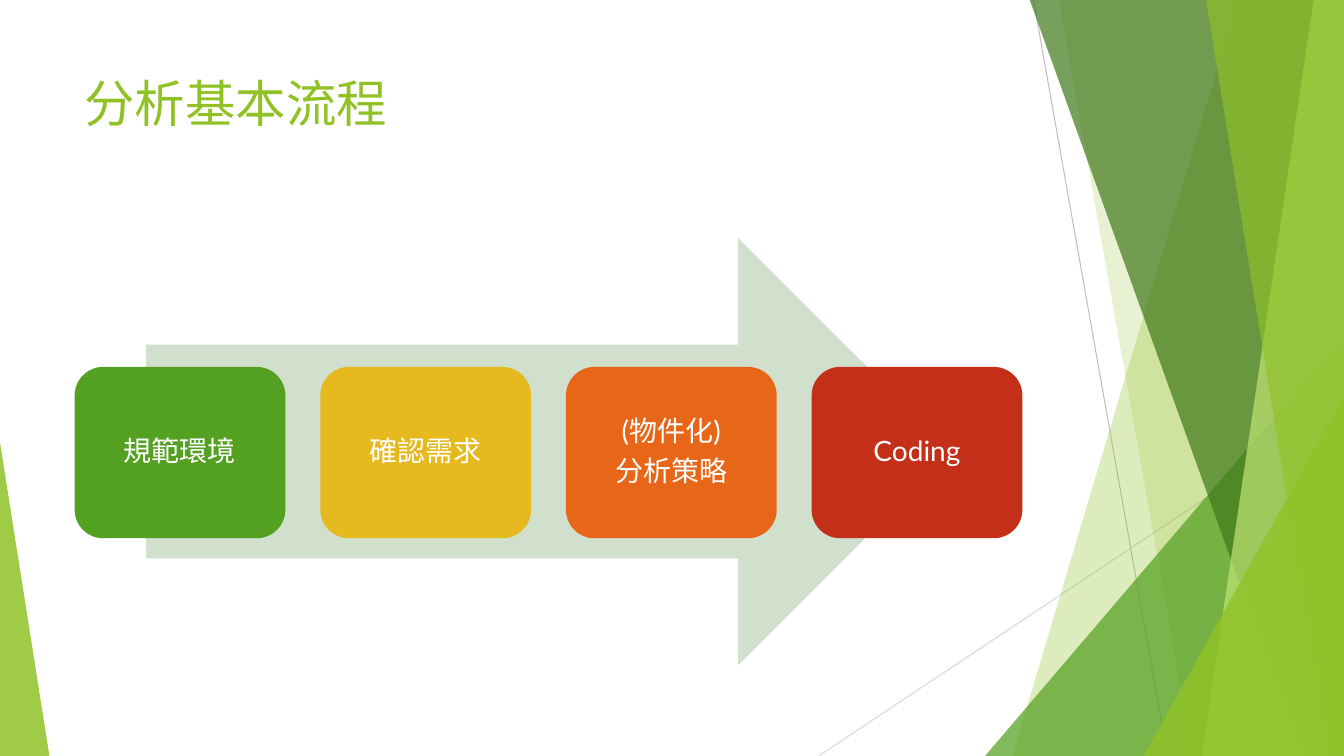
from pptx import Presentation
from pptx.dml.color import RGBColor
from pptx.enum.shapes import MSO_CONNECTOR, MSO_SHAPE
from pptx.enum.text import MSO_ANCHOR, PP_ALIGN
from pptx.oxml.ns import qn
from pptx.util import Inches, Pt
from lxml.etree import SubElement

WIDTH, HEIGHT = 13.33, 7.5
LIME, GREEN = "90C226", "54A021"


def rgb(value):
    return RGBColor.from_string(value)


def write(frame, text, font="Lato", size=20, color="FFFFFF", align=PP_ALIGN.LEFT,
          anchor=MSO_ANCHOR.TOP, inset=(0.1, 0.05), line_spacing=1.0, space_after=0):
    frame.word_wrap = True
    frame.vertical_anchor = anchor
    frame.margin_left = frame.margin_right = Inches(inset[0])
    frame.margin_top = frame.margin_bottom = Inches(inset[1])
    for number, line in enumerate(text.split("\n")):
        paragraph = frame.add_paragraph() if number else frame.paragraphs[0]
        paragraph.alignment = align
        paragraph.line_spacing = line_spacing
        paragraph.space_after = Pt(space_after)
        run = paragraph.add_run()
        run.text = line
        run.font.name = font
        run.font.size = Pt(size)
        run.font.color.rgb = rgb(color)


class FacetSlide:
    card_text = dict(align=PP_ALIGN.CENTER, anchor=MSO_ANCHOR.MIDDLE,
                     inset=(0.08, 0.08), line_spacing=0.9, space_after=7)

    def __init__(self, slide):
        self.shapes = slide.shapes

    def paint(self, shape, color, opacity=100):
        shape.shadow.inherit = False
        shape.line.fill.background()
        shape.fill.solid()
        shape.fill.fore_color.rgb = rgb(color)
        if opacity < 100:
            swatch = shape.fill._xPr.find(qn("a:solidFill"))[0]
            SubElement(swatch, qn("a:alpha"), val=str(opacity * 1000))
        return shape

    def hairline(self, start, end, color):
        line = self.shapes.add_connector(
            MSO_CONNECTOR.STRAIGHT, *map(Inches, start + end))
        line.line.color.rgb = rgb(color)
        line.line.width = Pt(0.75)
        SubElement(line._element.spPr, qn("a:effectLst"))

    def facet(self, top_left, bottom_left, color, opacity):
        """A band running from two points on its left side to the right slide edge."""
        corners = [(top_left, -0.01), (WIDTH, -0.01), (WIDTH, HEIGHT), (bottom_left, HEIGHT)]
        points = [(Inches(x), Inches(y)) for x, y in corners]
        builder = self.shapes.build_freeform(*points[0])
        builder.add_line_segments(points[1:], close=True)
        self.paint(builder.convert_to_shape(), color, opacity)

    def preset(self, kind, box, color, opacity=100):
        shape = self.shapes.add_shape(kind, *map(Inches, box))
        return self.paint(shape, color, opacity)

    def corner(self, left, top, width, apex, color, opacity):
        box = (left, top, width, HEIGHT - top)
        triangle = self.preset(MSO_SHAPE.ISOSCELES_TRIANGLE, box, color, opacity)
        triangle.adjustments[0] = apex

    def title(self, text, box):
        heading = self.shapes.add_textbox(*map(Inches, box))
        write(heading.text_frame, text, size=36, color=LIME)

    def card(self, text, box, color):
        step = self.preset(MSO_SHAPE.ROUNDED_RECTANGLE, box, color)
        write(step.text_frame, text, **self.card_text)


def main():
    deck = Presentation()
    deck.slide_width, deck.slide_height = Inches(WIDTH), Inches(HEIGHT)
    page = FacetSlide(deck.slides.add_slide(deck.slide_layouts[6]))

    # Faceted background
    page.hairline((10.25, 0), (11.58, HEIGHT), "BFBFBF")
    page.hairline((WIDTH, 4.03), (8.12, HEIGHT), "D9D9D9")
    page.facet(12.28, 10.04, LIME, 30)
    page.facet(10.5, 11.83, LIME, 20)
    page.corner(9.77, 3.33, 3.56, 1, GREEN, 72)
    page.facet(10.21, 12.91, "3F7819", 70)
    page.facet(13.03, 11.92, "C0E474", 70)
    page.facet(11.96, 13.18, LIME, 65)
    page.corner(11.34, 3.93, 1.99, 1, LIME, 80)
    page.corner(0, 4.39, 0.49, 0, LIME, 85)

    # Title
    page.title("分析基本流程", (0.74, 0.67, 9.4, 1.44))

    # Process arrow and its steps
    page.preset(MSO_SHAPE.RIGHT_ARROW, (1.45, 2.36, 7.99, 4.24), "D1DFCD")
    steps = [("規範環境", GREEN), ("確認需求", "E6B91E"),
             ("(物件化)\n分析策略", "E76618"), ("Coding", "C42F1A")]
    first, last = 0.74, 8.05
    pitch = (last - first) / (len(steps) - 1)
    for index, (label, color) in enumerate(steps):
        page.card(label, (first + index * pitch, 3.64, 2.09, 1.7), color)

    deck.save("out.pptx")


if __name__ == "__main__":
    main()
